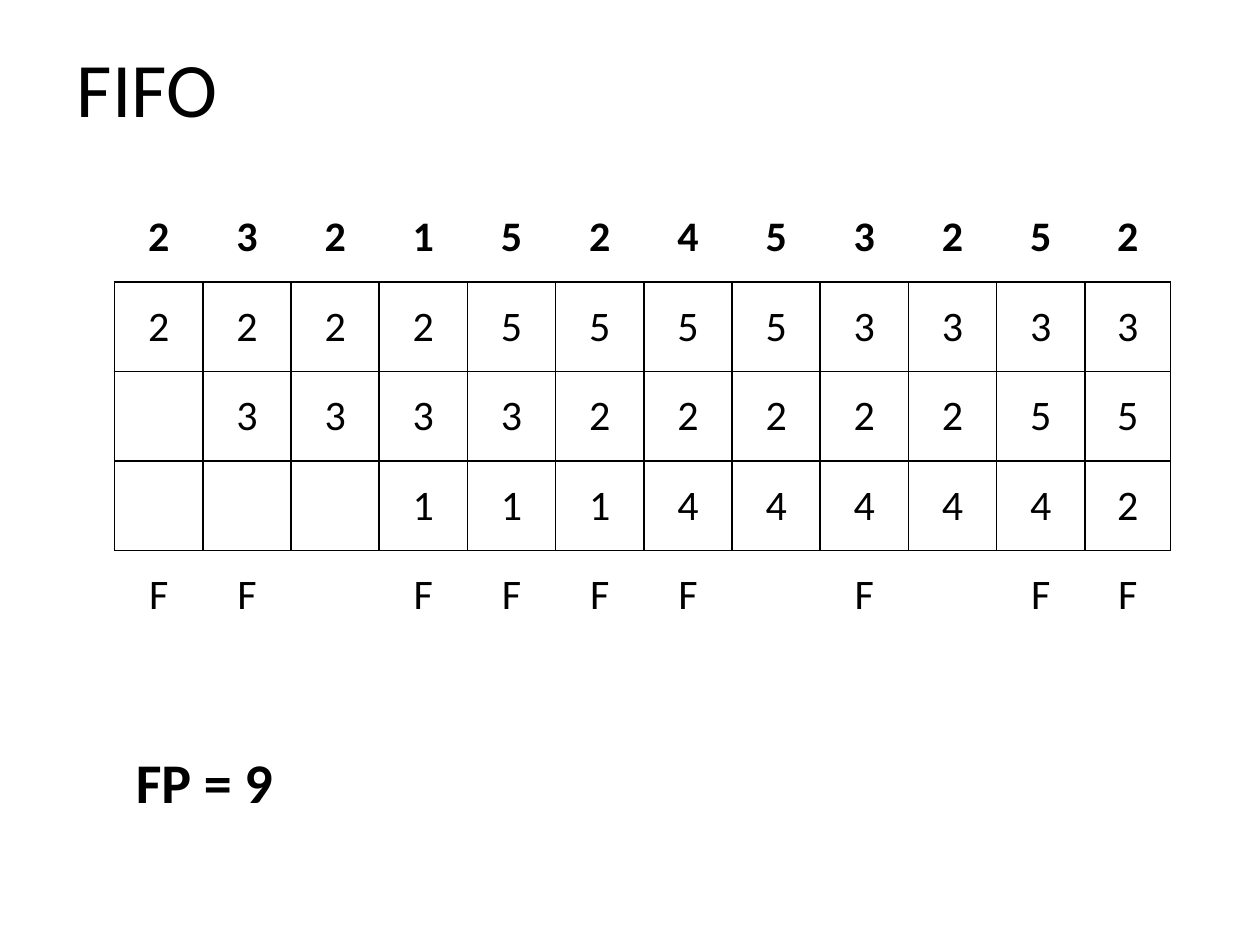
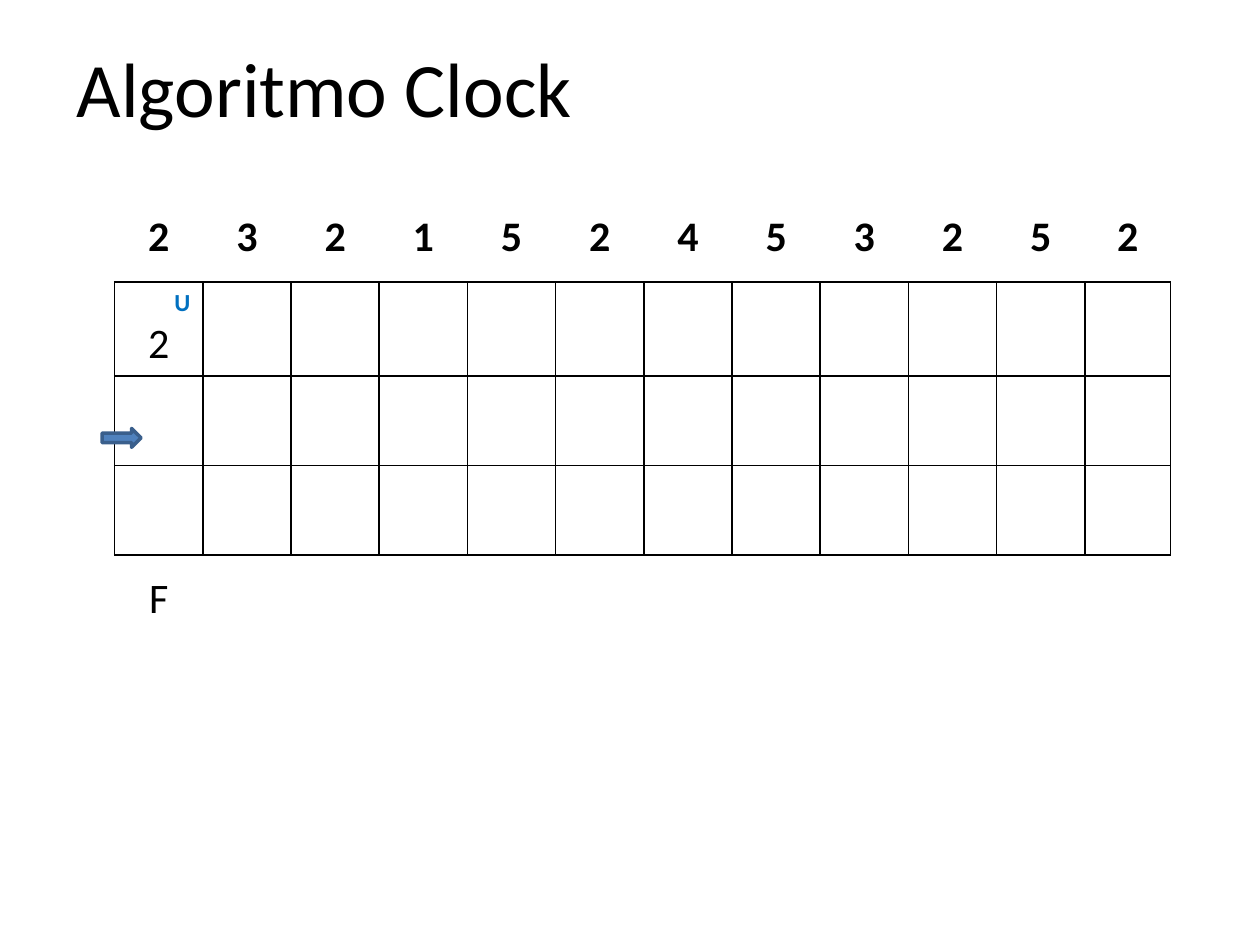
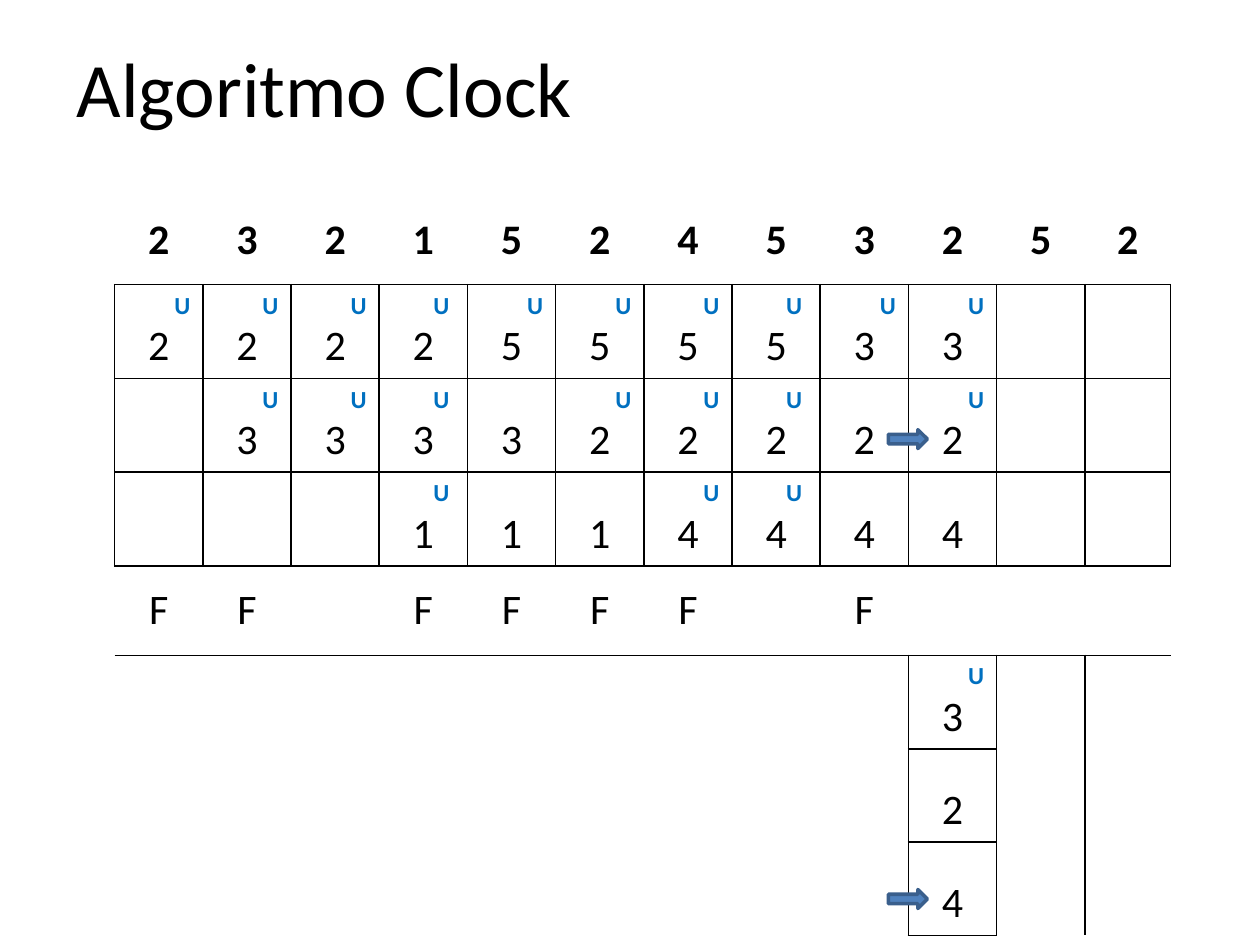
from dataclasses import dataclass

from lxml.etree import SubElement
from pptx import Presentation
from pptx.dml.color import RGBColor
from pptx.enum.shapes import MSO_SHAPE
from pptx.enum.text import MSO_ANCHOR, MSO_AUTO_SIZE, PP_ALIGN
from pptx.oxml.ns import qn
from pptx.slide import Slide
from pptx.table import Table, _Cell
from pptx.text.text import _Paragraph
from pptx.util import Inches, Pt


@dataclass(frozen=True)
class Theme:
    font: str = "Calibri"
    ink: str = "000000"
    mark: str = "0070C0"
    fill: str = "4F81BD"
    edge: str = "3A5F8C"
    title: int = 44
    total: int = 32
    cell: int = 24
    small: int = 14


@dataclass(frozen=True)
class Trace:
    """Page frames over time; '.' is an empty cell, a final U is the use bit."""
    title: str
    width: float
    top: float
    rows: tuple[str, ...]
    tall: tuple[int, ...] = ()
    arrows: tuple[tuple[float, float], ...] = ()
    total: str = ""


THEME = Theme()
LEFT, COL, LAST, ROW, TALL = 0.91, 0.7, 0.68, 0.71, 0.74
NUDGED = (3, 7)
NO_GRID = "{2D5ABB26-0587-4C30-8999-92F81FD0307C}"
SIDES = {"L": (0, -1), "R": (0, 1), "T": (-1, 0), "B": (1, 0)}
PAGES = "2 3 2 1 5 2 4 5 3 2 5 2"
BLANK = ". " * 12
SKIP = ". " * 9

TRACES = (
    Trace("FIFO", 1.42, 1.53, (
        PAGES,
        "2 2 2 2 5 5 5 5 3 3 3 3",
        ". 3 3 3 3 2 2 2 2 2 5 5",
        ". . . 1 1 1 4 4 4 4 4 2",
        "F F . F F F F . F . F F",
    ), total="FP = 9"),
    Trace("Algoritmo Clock", 4.96, 1.53, (
        PAGES,
        "2U" + " ." * 11,
        BLANK,
        BLANK,
        "F" + " ." * 11,
    ), tall=(1,), arrows=((0.81, 3.4),)),
    Trace("Algoritmo Clock", 4.96, 1.55, (
        PAGES,
        "2U 2U 2U 2U 5U 5U 5U 5U 3U 3U . .",
        ". 3U 3U 3U 3 2U 2U 2U 2 2U . .",
        ". . . 1U 1 1 4U 4U 4 4 . .",
        "F F . F F F F . F . . .",
        SKIP + "3U . .",
        SKIP + "2 . .",
        SKIP + "4 . .",
    ), tall=(1, 2, 3, 5, 6, 7), arrows=((7.05, 3.41), (7.05, 7.06))),
)


def style(para: _Paragraph, size: int, color: str = THEME.ink,
          bold: bool = False, align: PP_ALIGN = PP_ALIGN.LEFT) -> None:
    para.alignment = align
    for run in para.runs:
        font = run.font
        font.name, font.size, font.bold = THEME.font, Pt(size), bold
        font.color.rgb = RGBColor.from_string(color)


def add_title(slide: Slide, trace: Trace) -> None:
    title = slide.shapes.title
    title.left, title.top = Inches(0.51), Inches(0.29)
    title.width, title.height = Inches(trace.width), Inches(0.79)
    frame = title.text_frame
    frame.text = trace.title
    frame.auto_size = MSO_AUTO_SIZE.NONE
    frame.vertical_anchor = MSO_ANCHOR.MIDDLE
    style(frame.paragraphs[0], THEME.title)


def fill_cell(cell: _Cell, token: str, row: int, col: int, tall: bool) -> None:
    cell.vertical_anchor = MSO_ANCHOR.BOTTOM if tall else MSO_ANCHOR.MIDDLE
    if token == ".":
        return
    frame = cell.text_frame
    para = frame.paragraphs[0]
    if token.endswith("U"):
        para.text = "U " if col in NUDGED else "U"
        style(para, THEME.small, THEME.mark, True, PP_ALIGN.RIGHT)
        para = frame.add_paragraph()
    para.text = token[0]
    style(para, THEME.cell, bold=row == 0, align=PP_ALIGN.CENTER)


def draw_edges(cell: _Cell, sides: list[str]) -> None:
    props = cell._tc.get_or_add_tcPr()
    for side in sides:
        line = SubElement(props, qn(f"a:ln{side}"), w=str(Pt(1)))
        paint = SubElement(line, qn("a:solidFill"))
        SubElement(paint, qn("a:srgbClr"), val=THEME.ink)
    cell.fill.background()


def plain_table(slide: Slide, trace: Trace, count: int) -> Table:
    """Add a table with no style of its own, sized for the trace."""
    rows = len(trace.rows)
    table = slide.shapes.add_table(
        rows, count, Inches(LEFT), Inches(trace.top),
        Inches(COL * (count - 1) + LAST), Inches(ROW * rows)).table
    table.first_row = table.horz_banding = False
    table._tbl.tblPr.find(qn("a:tableStyleId")).text = NO_GRID
    for i, col in enumerate(table.columns):
        col.width = Inches(LAST if i == count - 1 else COL)
    for i, row in enumerate(table.rows):
        row.height = Inches(TALL if i in trace.tall else ROW)
    return table


def add_grid(slide: Slide, trace: Trace) -> None:
    grid = [row.split() for row in trace.rows]
    count = len(grid[0])
    table = plain_table(slide, trace, count)
    boxed = {(r, c) for r, row in enumerate(grid) for c, token in enumerate(row)
             if 1 <= r <= 3 or (r > 4 and token != ".")}
    for r, row in enumerate(grid):
        for c, token in enumerate(row):
            cell = table.cell(r, c)
            fill_cell(cell, token, r, c, r in trace.tall)
            draw_edges(cell, [side for side, (down, right) in SIDES.items()
                              if boxed & {(r, c), (r + down, c + right)}])


def add_arrow(slide: Slide, left: float, top: float) -> None:
    arrow = slide.shapes.add_shape(MSO_SHAPE.RIGHT_ARROW, Inches(left),
                                   Inches(top), Inches(0.31), Inches(0.15))
    arrow.shadow.inherit = False
    arrow.fill.solid()
    arrow.fill.fore_color.rgb = RGBColor.from_string(THEME.fill)
    arrow.line.color.rgb = RGBColor.from_string(THEME.edge)
    arrow.line.width = Pt(2)


def add_total(slide: Slide, text: str) -> None:
    box = slide.shapes.add_textbox(Inches(0.98), Inches(5.88),
                                   Inches(1.5), Inches(0.64))
    frame = box.text_frame
    frame.word_wrap = True
    frame.auto_size = MSO_AUTO_SIZE.SHAPE_TO_FIT_TEXT
    frame.text = text
    style(frame.paragraphs[0], THEME.total, bold=True)


def main() -> None:
    deck = Presentation()
    deck.slide_width, deck.slide_height = Inches(10), Inches(7.5)
    for trace in TRACES:
        slide = deck.slides.add_slide(deck.slide_layouts[5])
        add_title(slide, trace)
        add_grid(slide, trace)
        for left, top in trace.arrows:
            add_arrow(slide, left, top)
        if trace.total:
            add_total(slide, trace.total)
    deck.save("out.pptx")


if __name__ == "__main__":
    main()
